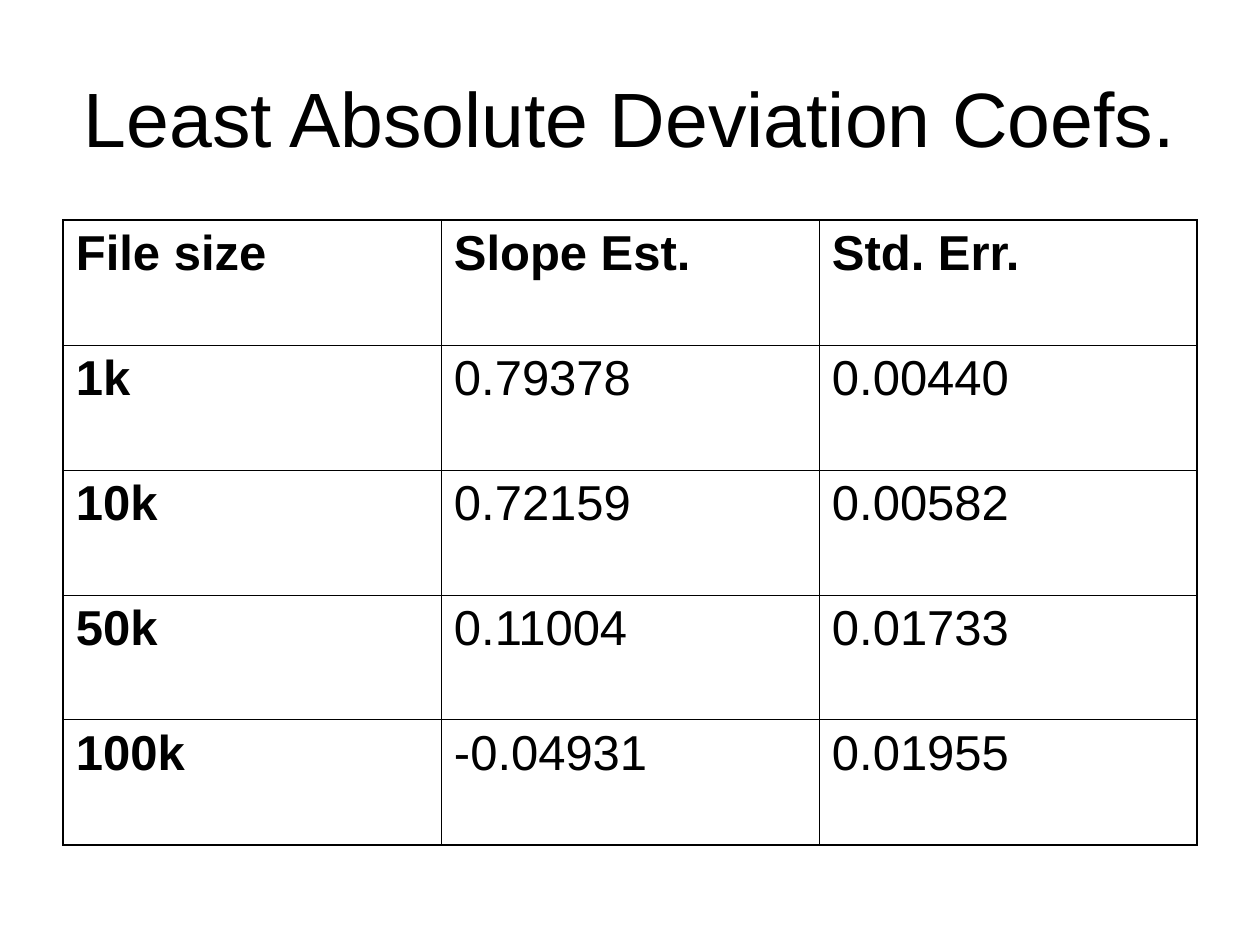
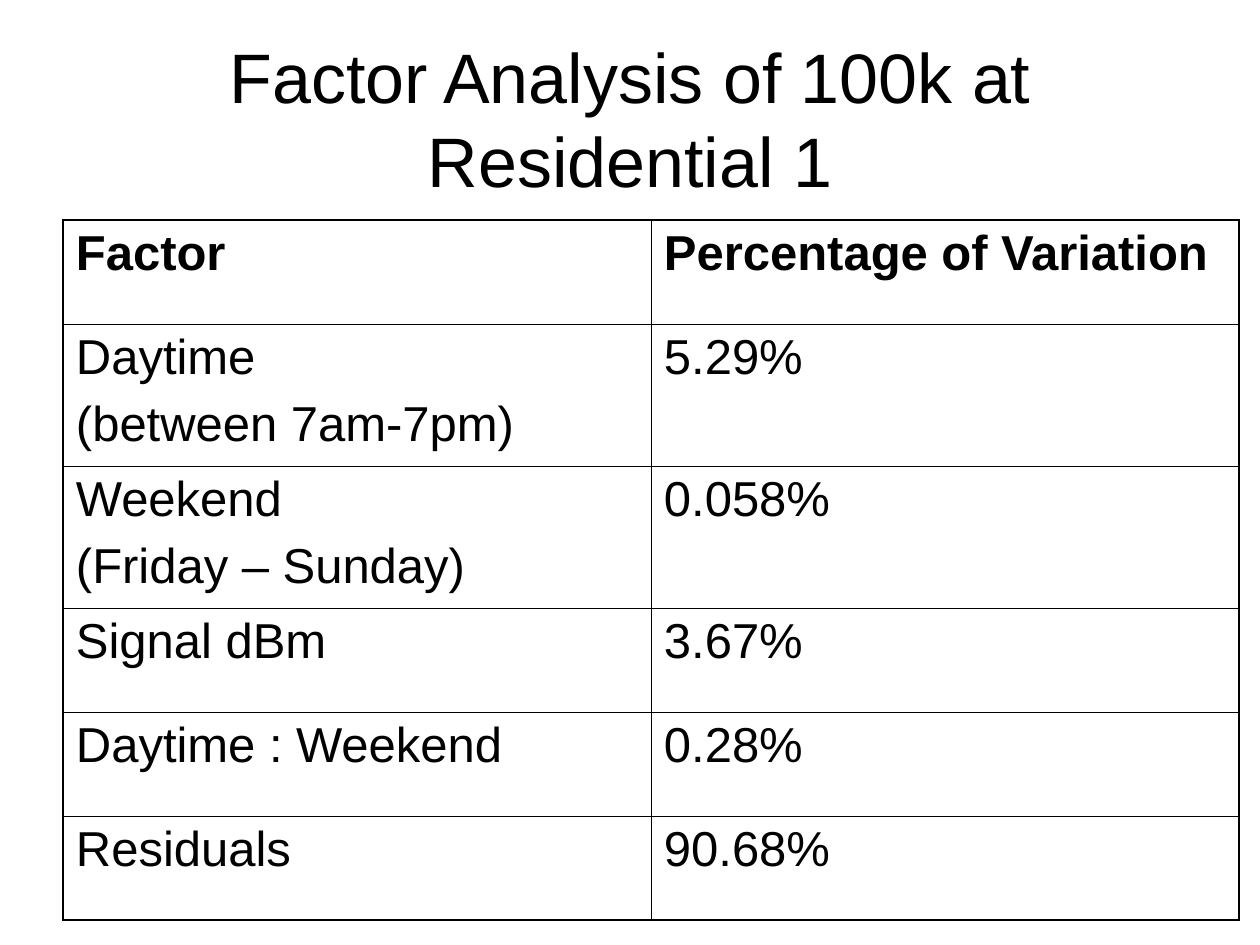
from lxml.etree import SubElement
from pptx import Presentation
from pptx.dml.color import RGBColor
from pptx.enum.text import MSO_ANCHOR as Anchor, PP_ALIGN as Align
from pptx.oxml.ns import qn
from pptx.util import Emu, Pt

PX_PER_INCH = 126
BLANK_LAYOUT = 6
BLACK = "000000"
THIN, THICK = 0.45, 1.08

TITLE_BOX = (63, 38, 1134, 158)
TABLE_LEFT, TABLE_TOP = 63, 220
INSETS = {"margin_left": 13, "margin_right": 13, "margin_top": 6, "margin_bottom": 6}

TITLE_FONT = {"name": "Arial", "size": Pt(44), "bold": False}
CELL_FONT = {"name": "Arial", "size": Pt(28), "bold": False}

COEFFICIENTS = [
    ("File size", "Slope Est.", "Std. Err."),
    ("1k", "0.79378", "0.00440"),
    ("10k", "0.72159", "0.00582"),
    ("50k", "0.11004", "0.01733"),
    ("100k", "-0.04931", "0.01955"),
]
FACTORS = [
    ("Factor", "Percentage of Variation"),
    ("Daytime\n(between 7am-7pm)", "5.29%"),
    ("Weekend\n(Friday – Sunday)", "0.058%"),
    ("Signal dBm", "3.67%"),
    ("Daytime : Weekend", "0.28%"),
    ("Residuals", "90.68%"),
]


def px(length):
    return Emu(round(length * 914400 / PX_PER_INCH))


def color(hex_code):
    return RGBColor.from_string(hex_code)


def set_all(target, values):
    for name, value in values.items():
        setattr(target, name, value)


class Deck:
    def __init__(self):
        self.presentation = Presentation()
        self.presentation.slide_width = px(1260)
        self.presentation.slide_height = px(945)
        self.insets = {side: px(length) for side, length in INSETS.items()}
        self.slide = None

    def new_slide(self):
        layout = self.presentation.slide_layouts[BLANK_LAYOUT]
        self.slide = self.presentation.slides.add_slide(layout)

    def fill_text(self, frame, text, font, align):
        frame.text = text
        for index, paragraph in enumerate(frame.paragraphs):
            paragraph.alignment = align
            paragraph.space_before = Pt(7 if index else 0)
            for run in paragraph.runs:
                set_all(run.font, font)
                run.font.color.rgb = color(BLACK)

    def title(self, text, **overrides):
        box = self.slide.shapes.add_textbox(*map(px, TITLE_BOX))
        frame = box.text_frame
        set_all(frame, self.insets | {"word_wrap": True, "vertical_anchor": Anchor.MIDDLE})
        self.fill_text(frame, text, TITLE_FONT | overrides, Align.CENTER)

    def border(self, cell, side, width):
        properties = cell._tc.get_or_add_tcPr()
        line = SubElement(properties, qn(f"a:ln{side}"), w=str(Pt(width)))
        fill = SubElement(line, qn("a:solidFill"))
        SubElement(fill, qn("a:srgbClr"), val=BLACK)

    def table(self, rows, column_width, row_heights, bold_first_column=False):
        row_count, column_count = len(rows), len(rows[0])
        frame = self.slide.shapes.add_table(
            row_count, column_count, px(TABLE_LEFT), px(TABLE_TOP),
            px(column_width * column_count), px(sum(row_heights)))
        table = frame.table
        set_all(table, {"first_row": False, "horz_banding": False})
        for column in table.columns:
            column.width = px(column_width)
        for r, (values, height) in enumerate(zip(rows, row_heights)):
            table.rows[r].height = px(height)
            for c, text in enumerate(values):
                cell = table.cell(r, c)
                set_all(cell, self.insets)
                bold = r == 0 or (bold_first_column and c == 0)
                self.fill_text(cell.text_frame, text, CELL_FONT | {"bold": bold}, Align.LEFT)
                outer_sides = {"L": c == 0, "R": c == column_count - 1,
                               "T": r == 0, "B": r == row_count - 1}
                for side, is_outer in outer_sides.items():
                    self.border(cell, side, THICK if is_outer else THIN)
                cell.fill.background()


def main():
    deck = Deck()

    deck.new_slide()
    deck.title("Least Absolute Deviation Coefs.")
    deck.table(COEFFICIENTS, 378, [125] * len(COEFFICIENTS), bold_first_column=True)

    deck.new_slide()
    deck.title("Factor Analysis of 100k at Residential 1", size=Pt(40))
    heights = [142 if "\n" in factor else 104 for factor, _ in FACTORS]
    deck.table(FACTORS, 588, heights)

    deck.presentation.save("out.pptx")


if __name__ == "__main__":
    main()
